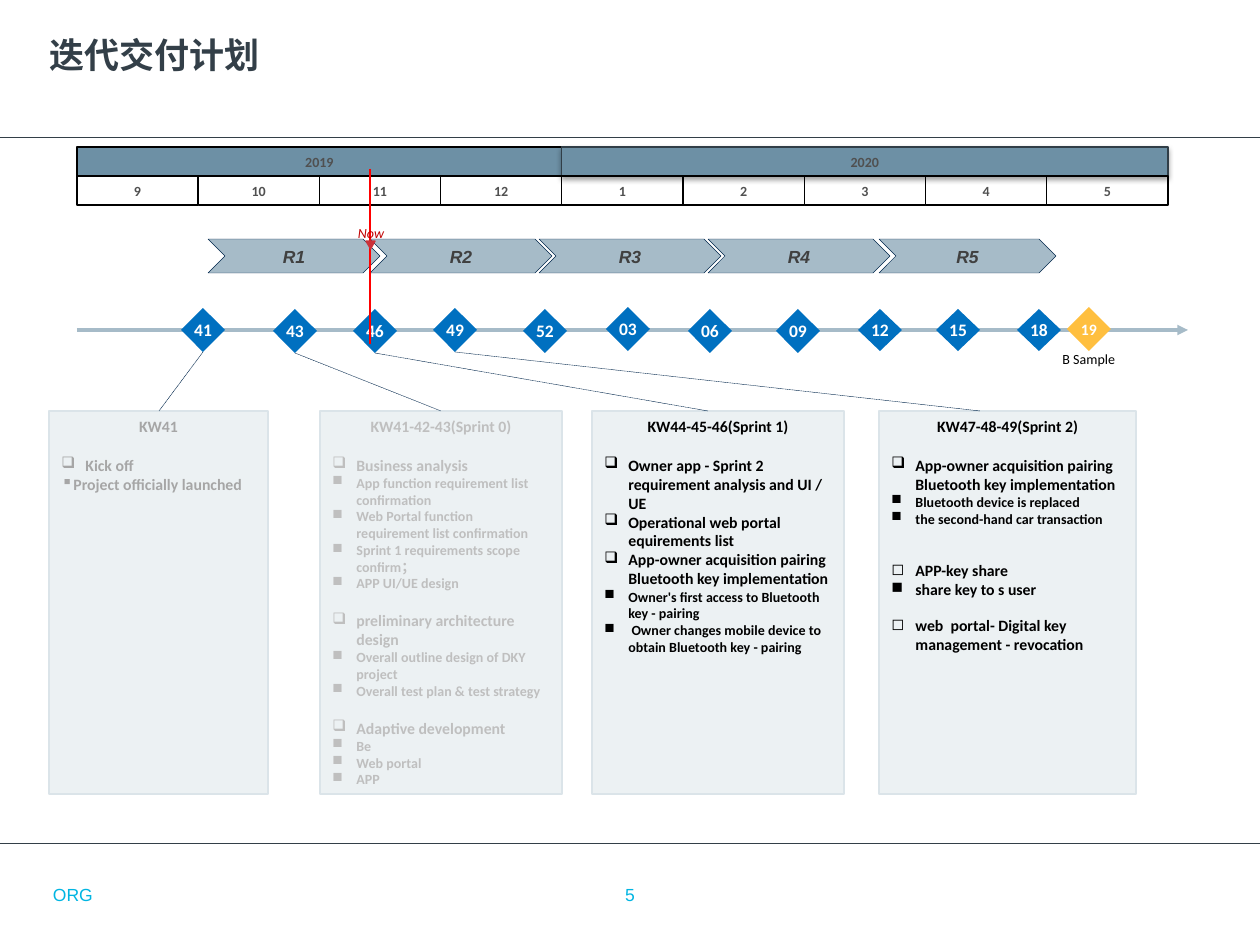
"""Build the iteration delivery plan slide."""
import pptx
import pptx.util
import pptx.dml.color
import pptx.enum.dml
import pptx.enum.shapes
import pptx.enum.text
import pptx.oxml.ns
from lxml import etree

SHAPE = pptx.enum.shapes.MSO_SHAPE
ANCHOR = pptx.enum.text.MSO_ANCHOR
CENTER = pptx.enum.text.PP_ALIGN.CENTER
LEFT = pptx.enum.text.PP_ALIGN.LEFT
qn = pptx.oxml.ns.qn
INK, GRID, STEEL, BLUE, CYAN = "505050", "000000", "A6BBC8", "0070C0", "00B5E2"

YEARS = [("2019", 0, 4, GRID), ("2020", 4, 5, "313E47")]
MONTHS = ["9", "10", "11", "12", "1", "2", "3", "4", "5"]
GRID_LEFT, GRID_TOP, GRID_WIDTH, ROW = 77, 147, 1091, 29
RELEASES = [("R1", 208, 172), ("R2", 370, 182), ("R3", 539, 182),
            ("R4", 708, 182), ("R5", 879, 177)]
WEEKS = [("41", 181, 308, 44), ("43", 273, 309, 44), ("46", 353, 309, 44),
         ("49", 433, 308, 44), ("52", 523, 309, 44), ("03", 606, 307, 44),
         ("06", 688, 309, 44), ("09", 776, 309, 44), ("12", 858, 309, 42),
         ("15", 936, 309, 42), ("18", 1017, 309, 42), ("19", 1067, 307, 44)]
CARD_TOP, CARD_HEIGHT = 411, 383
BOX, DOT, SMALL, OPEN = "❑", "■", "▪", "◻"
CARDS = [
    dict(title="KW41", left=49, width=219, link=159, color="A6A6A6", items=[
        (BOX, 9, 11, "Kick off"),
        (SMALL, 9, 0, "Project officially launched")]),
    dict(title="KW41-42-43(Sprint 0)", left=320, width=242, link=441, color="BFBFBF", items=[
        (BOX, 9, 11, "Business analysis"),
        (DOT, 8, 0, "App function requirement list confirmation"),
        (DOT, 8, 0, "Web Portal function requirement list confirmation"),
        (DOT, 8, 0, "Sprint 1 requirements scope confirm；"),
        (DOT, 8, 0, "APP UI/UE design"),
        (BOX, 9, 11, "preliminary architecture design"),
        (DOT, 8, 0, "Overall outline design of DKY project"),
        (DOT, 8, 0, "Overall test plan & test strategy"),
        (BOX, 9, 11, "Adaptive development"),
        (DOT, 8, 0, "Be"),
        (DOT, 8, 0, "Web portal"),
        (DOT, 8, 0, "APP")]),
    dict(title="KW44-45-46(Sprint 1)", left=592, width=252, link=708, color="000000", items=[
        (BOX, 9, 11, "Owner app - Sprint 2 requirement analysis and UI / UE"),
        (BOX, 9, 0, "Operational web portal equirements list"),
        (BOX, 9, 0, "App-owner acquisition pairing Bluetooth key implementation"),
        (DOT, 8, 0, "Owner's first access to Bluetooth key - pairing"),
        (DOT, 8, 0, " Owner changes mobile device to obtain Bluetooth key - pairing")]),
    dict(title="KW47-48-49(Sprint 2)", left=879, width=257, link=980, color="000000", items=[
        (BOX, 9, 11, "App-owner acquisition pairing Bluetooth key implementation"),
        (DOT, 8, 0, "Bluetooth device is replaced"),
        (DOT, 8, 0, "the second-hand car transaction"),
        (OPEN, 9, 19.5, "APP-key share"),
        (DOT, 9, 0, "share key to s user"),
        (OPEN, 9, 9.8, "web  portal- Digital key management - revocation")]),
]


def px(n):
    return pptx.util.Emu(round(n * 914400 / 126))


def rgb(value):
    return pptx.dml.color.RGBColor.from_string(value)


def sub(parent, tag, **attrs):
    return etree.SubElement(parent, qn(tag), attrs)


def write(p, text, size, color, bold=False, italic=False, font="Calibri", align=CENTER):
    p.alignment = align
    r = p.add_run()
    r.text = text
    r.font.size, r.font.name = pptx.util.Pt(size), font
    r.font.bold, r.font.italic = bold, italic
    r.font.color.rgb = rgb(color)


def frame(sp, anchor=ANCHOR.MIDDLE, wrap=True, insets=None):
    tf = sp.text_frame
    tf.word_wrap, tf.vertical_anchor = wrap, anchor
    if insets:
        tf.margin_left = tf.margin_right = px(insets[0])
        tf.margin_top = tf.margin_bottom = px(insets[1])
    return tf


def shape(kind, x, y, w, h, fill=None, line=None, weight=0.75):
    sp = s.shapes.add_shape(kind, px(x), px(y), px(w), px(h))
    sp.shadow.inherit = False
    if fill:
        sp.fill.solid()
        sp.fill.fore_color.rgb = rgb(fill)
    else:
        sp.fill.background()
    if line:
        sp.line.color.rgb = rgb(line)
        sp.line.width = pptx.util.Pt(weight)
    else:
        sp.line.fill.background()
    return sp


def label(x, y, w, h, text, size, color, anchor=ANCHOR.MIDDLE, insets=None, **style):
    sp = s.shapes.add_textbox(px(x), px(y), px(w), px(h))
    write(frame(sp, anchor, True, insets).paragraphs[0], text, size, color, **style)


def line(x1, y1, x2, y2, color, weight, dashed=False, arrow=False):
    c = s.shapes.add_connector(pptx.enum.shapes.MSO_CONNECTOR.STRAIGHT,
                               px(x1), px(y1), px(x2), px(y2))
    c.line.color.rgb = rgb(color)
    c.line.width = pptx.util.Pt(weight)
    if dashed:
        c.line.dash_style = pptx.enum.dml.MSO_LINE.SQUARE_DOT
    if arrow:
        sub(c.line._get_or_add_ln(), "a:tailEnd", type="triangle")
    sub(c._element.spPr, "a:effectLst")


def bullet(p, mark, indent):
    pPr = p._p.get_or_add_pPr()
    pPr.set("marL", str(px(indent)))
    pPr.set("indent", str(-px(indent)))
    sub(pPr, "a:buChar", char=mark)


def cell(text, start, span, row, fill, edge):
    step = GRID_WIDTH / len(MONTHS)
    sp = shape(SHAPE.RECTANGLE, GRID_LEFT + start * step, GRID_TOP + row * ROW,
               span * step, ROW, fill, edge)
    write(frame(sp, wrap=False, insets=(0, 4)).paragraphs[0], text, 8, INK, bold=True)
    return sp


prs = pptx.Presentation()
prs.slide_width, prs.slide_height = px(1260), px(945)
s = prs.slides.add_slide(prs.slide_layouts[5])

for y in (137, 843):
    line(0, y, 1260, y, "333F48", 0.25)
for x, w, text, align in ((53, 387, "ORG", LEFT), (483, 294, "5", CENTER)):
    label(x, 875, w, 39, text, 10, CYAN, insets=(0, 0), font="Arial", align=align)

title = s.shapes.title
title.left, title.top, title.width, title.height = px(49), px(33), px(1008), px(78)
tf = frame(title, ANCHOR.TOP, False, (0, 0))
tf.auto_size = pptx.enum.text.MSO_AUTO_SIZE.NONE
write(tf.paragraphs[0], "迭代交付计划", 20, "333F48", bold=True, align=LEFT)

for text, start, span, edge in YEARS:
    year = cell(text, start, span, 0, "6D90A5", edge)
effects = year._element.spPr.find(qn("a:effectLst"))
shadow = sub(effects, "a:outerShdw", blurRad="39370", dist="20320", dir="5400000", rotWithShape="0")
sub(sub(shadow, "a:srgbClr", val="000000"), "a:alpha", val="38000")
for i, text in enumerate(MONTHS):
    cell(text, i, 1, 1, None, GRID)

for text, x, w in RELEASES:
    sp = shape(SHAPE.CHEVRON, x, 239, w, 34, STEEL, "00264B", 0.25)
    write(frame(sp).paragraphs[0], text, 10, "404040", bold=True, italic=True, font="Arial")

line(77, 330, 1188, 330, STEEL, 2, arrow=True)
for text, x, y, h in WEEKS:
    last = text == WEEKS[-1][0]
    sp = shape(SHAPE.DIAMOND, x, y, 44, h, "FFBF3F" if last else BLUE)
    write(frame(sp, wrap=False).paragraphs[0], text, 9 if last else 10, "FFFFFF", bold=True)
label(1050, 344, 134, 29, "B Sample", 8, "000000", anchor=ANCHOR.TOP, align=LEFT)

for card, (week, x, y, h) in zip(CARDS, WEEKS):
    sp = shape(SHAPE.RECTANGLE, card["left"], CARD_TOP, card["width"], CARD_HEIGHT, "DBE4E9", "DBE4E9")
    sub(sp._element.spPr.find(qn("a:solidFill"))[0], "a:alpha", val="50000")
    tf = frame(sp, ANCHOR.TOP)
    write(tf.paragraphs[0], card["title"], 9, card["color"], bold=True)
    for mark, size, gap, text in card["items"]:
        p = tf.add_paragraph()
        p.space_before = pptx.util.Pt(gap)
        bullet(p, mark, 12 if mark == SMALL else 24)
        write(p, text, size, card["color"], bold=True, align=LEFT)
    line(x + 22, y + h, card["link"], CARD_TOP, "00264B", 0.25, dashed=True)

line(370, 169, 370, 344, "FF0000", 1)
label(344, 224, 54, 18, "Now", 8, "C00000", italic=True)
marker = shape(SHAPE.ISOSCELES_TRIANGLE, 366, 241, 9, 8, "CB323A", "CB323A")
marker.rotation = 180

prs.save("out.pptx")
